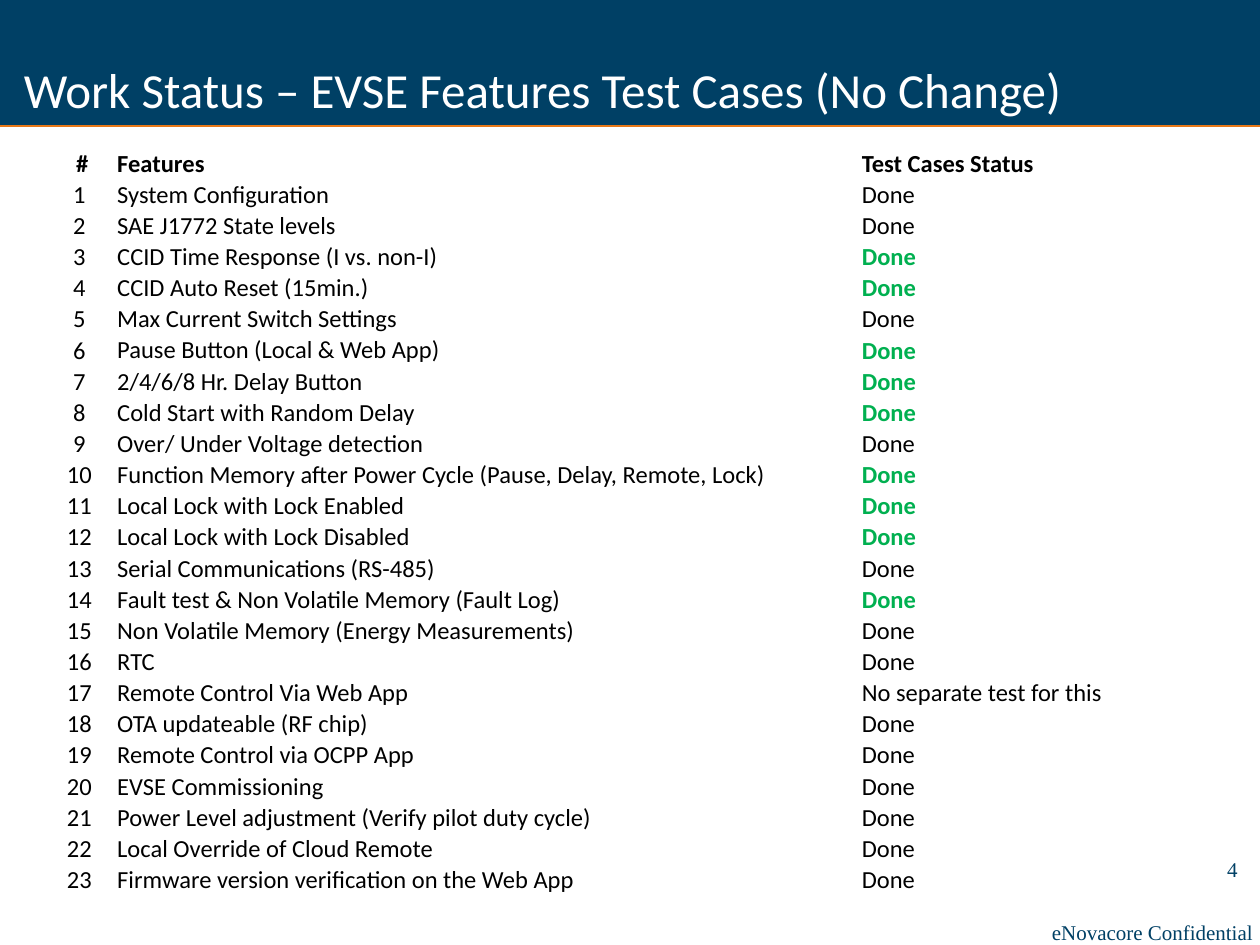
from dataclasses import dataclass

from lxml.etree import SubElement
from pptx import Presentation
from pptx.dml.color import RGBColor
from pptx.enum.shapes import MSO_CONNECTOR, MSO_SHAPE
from pptx.enum.text import MSO_ANCHOR, PP_ALIGN
from pptx.oxml.ns import qn
from pptx.util import Inches, Pt

TITLE = "Work Status – EVSE Features Test Cases (No Change)"
CONFIDENTIALITY = "eNovacore Confidential"
PAGE_NUMBER = "4"
HEADINGS = ("\u00a0#", "Features", "Test Cases Status")
DONE = "Done"
FEATURES = [
    ("System Configuration", DONE),
    ("SAE J1772 State levels", DONE),
    ("CCID Time Response (I vs. non-I)", DONE),
    ("CCID Auto Reset (15min.)", DONE),
    ("Max Current Switch Settings", DONE),
    ("Pause Button (Local & Web App)", DONE),
    ("2/4/6/8 Hr. Delay Button", DONE),
    ("Cold Start with Random Delay", DONE),
    ("Over/ Under Voltage detection", DONE),
    ("Function Memory after Power Cycle (Pause, Delay, Remote, Lock)", DONE),
    ("Local Lock with Lock Enabled", DONE),
    ("Local Lock with Lock Disabled", DONE),
    ("Serial Communications (RS-485)", DONE),
    ("Fault test & Non Volatile Memory (Fault Log)", DONE),
    ("Non Volatile Memory (Energy Measurements)", DONE),
    ("RTC", DONE),
    ("Remote Control Via Web App", "No separate test for this"),
    ("OTA updateable (RF chip)", DONE),
    ("Remote Control via OCPP App", DONE),
    ("EVSE Commissioning", DONE),
    ("Power Level adjustment (Verify pilot duty cycle)", DONE),
    ("Local Override of Cloud Remote", DONE),
    ("Firmware version verification on the Web App", DONE),
]
HIGHLIGHTED = {3, 4, 6, 7, 8, 10, 11, 12, 14}


@dataclass(frozen=True)
class Theme:
    navy: str = "004065"
    orange: str = "E77817"
    green: str = "00B050"
    black: str = "000000"
    white: str = "FFFFFF"
    body_font: str = "Calibri"
    footer_font: str = "Times New Roman"
    title_size: int = 28
    table_size: int = 14
    footer_size: int = 12


THEME = Theme()
WIDTH, HEIGHT = 10, 7.5
BANNER_HEIGHT = 1
TABLE_LEFT, TABLE_TOP, TABLE_HEIGHT = 0.34, 1.17, 5.94
COLUMN_WIDTHS = (0.58, 5.91, 2.84)
CELL_INSET = 0.01


def colour(code):
    return RGBColor.from_string(code)


def write(frame, text, font, size, code, bold=False, align=PP_ALIGN.LEFT):
    frame.text = text
    paragraph = frame.paragraphs[0]
    paragraph.alignment = align
    for run in paragraph.runs:
        run.font.name = font
        run.font.size = Pt(size)
        run.font.bold = bold
        run.font.color.rgb = colour(code)


def add_label(slide, box, text, font, size, code, align=PP_ALIGN.LEFT):
    frame = slide.shapes.add_textbox(*map(Inches, box)).text_frame
    frame.word_wrap = True
    write(frame, text, font, size, code, align=align)
    return frame


def add_banner(slide):
    banner = slide.shapes.add_shape(
        MSO_SHAPE.RECTANGLE, 0, 0, Inches(WIDTH), Inches(BANNER_HEIGHT))
    banner.shadow.inherit = False
    banner.fill.solid()
    banner.fill.fore_color.rgb = colour(THEME.navy)
    banner.line.fill.background()
    rule = slide.shapes.add_connector(
        MSO_CONNECTOR.STRAIGHT, 0, Inches(BANNER_HEIGHT), Inches(WIDTH), Inches(BANNER_HEIGHT))
    rule.line.color.rgb = colour(THEME.orange)
    rule.line.width = Pt(0.75)
    SubElement(rule._element.spPr, qn("a:effectLst"))


def style_cell(cell, anchor):
    cell.margin_left = cell.margin_right = cell.margin_top = Inches(CELL_INSET)
    cell.margin_bottom = 0
    cell.vertical_anchor = anchor
    properties = cell._tc.get_or_add_tcPr()
    for side in ("L", "R", "T", "B"):
        border = SubElement(properties, qn(f"a:ln{side}"), w=str(Pt(1)))
        SubElement(SubElement(border, qn("a:solidFill")), qn("a:srgbClr"), val=THEME.white)
    cell.fill.solid()
    cell.fill.fore_color.rgb = colour(THEME.white)


def add_feature_table(slide):
    rows = [HEADINGS] + [(str(number), *feature) for number, feature in enumerate(FEATURES, 1)]
    table = slide.shapes.add_table(
        len(rows), len(COLUMN_WIDTHS), Inches(TABLE_LEFT), Inches(TABLE_TOP),
        Inches(sum(COLUMN_WIDTHS)), Inches(TABLE_HEIGHT)).table
    for column, width in zip(table.columns, COLUMN_WIDTHS):
        column.width = Inches(width)
    for number, row in enumerate(rows):
        table.rows[number].height = Inches(TABLE_HEIGHT / len(rows))
        for position, text in enumerate(row):
            cell = table.cell(number, position)
            highlighted = position == 2 and number in HIGHLIGHTED
            is_feature = position == 1 and number > 0
            style_cell(cell, MSO_ANCHOR.MIDDLE if is_feature else MSO_ANCHOR.BOTTOM)
            write(cell.text_frame, text, THEME.body_font, THEME.table_size,
                  THEME.green if highlighted else THEME.black,
                  bold=number == 0 or highlighted,
                  align=PP_ALIGN.CENTER if position == 0 else PP_ALIGN.LEFT)


def main():
    deck = Presentation()
    deck.slide_width, deck.slide_height = Inches(WIDTH), Inches(HEIGHT)
    slide = deck.slides.add_slide(deck.slide_layouts[6])
    add_banner(slide)
    footer_style = (THEME.footer_font, THEME.footer_size, THEME.navy)
    confidentiality = add_label(slide, (8.25, 7.25, 1.75, 0.25), CONFIDENTIALITY, *footer_style)
    confidentiality.margin_right = 0
    add_label(slide, (9.3, 6.75, 0.62, 0.3), PAGE_NUMBER, *footer_style, align=PP_ALIGN.RIGHT)
    title = add_label(slide, (0, 0.42, 9, 0.83), TITLE,
                      THEME.body_font, THEME.title_size, THEME.white)
    title.margin_left = Inches(0.19)
    add_feature_table(slide)
    deck.save("out.pptx")


if __name__ == "__main__":
    main()
